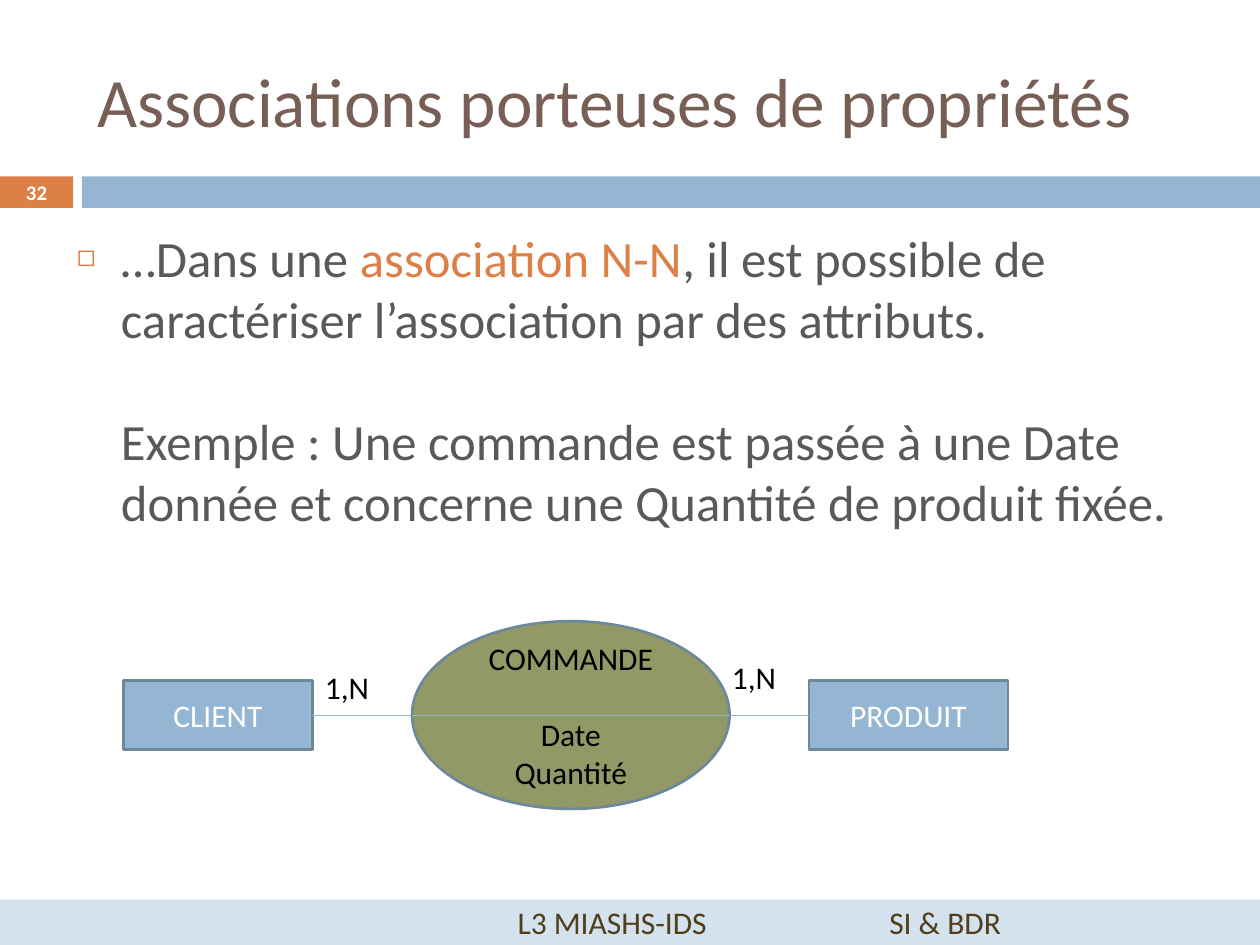
from dataclasses import dataclass

from lxml import etree
from pptx import Presentation
from pptx.dml.color import RGBColor
from pptx.enum.shapes import MSO_CONNECTOR, MSO_SHAPE
from pptx.enum.text import MSO_ANCHOR, MSO_AUTO_SIZE, PP_ALIGN
from pptx.oxml.ns import qn
from pptx.util import Inches, Pt

RECT, OVAL = MSO_SHAPE.RECTANGLE, MSO_SHAPE.OVAL
LINE = MSO_CONNECTOR.STRAIGHT
LEFT, MID = PP_ALIGN.LEFT, PP_ALIGN.CENTER
TOP, CENTER = MSO_ANCHOR.TOP, MSO_ANCHOR.MIDDLE
FIXED = MSO_AUTO_SIZE.NONE
WIDE, HIGH = Inches(10), Inches(7.5)
COLS, ROWS = 100, 75


@dataclass(frozen=True)
class Theme:
    """Colours, font and type sizes of the slide."""
    font: str = "Calibri"
    brown: str = "775F55"
    orange: str = "DD8047"
    blue: str = "94B6D2"
    edge: str = "6D879B"
    pale: str = "D4E2ED"
    olive: str = "929966"
    grey: str = "595959"
    dark: str = "513E1B"
    black: str = "000000"
    white: str = "FFFFFF"
    head: float = 39.6
    body: float = 29
    label: float = 18
    small: float = 11.9


THEME = Theme()


def grid(*cells):
    """Turn columns and rows, in turn, into lengths."""
    units = WIDE / COLS, HIGH / ROWS
    return [round(cell * units[i % 2]) for i, cell in enumerate(cells)]


def apply(item, values):
    """Set each attribute of an item from a dict."""
    for name, value in values.items():
        setattr(item, name, value)


def add_run(para, text, size, color, bold=False):
    """Add one run in the theme font."""
    run = para.add_run()
    run.text = text
    apply(run.font, {"name": THEME.font, "size": Pt(size), "bold": bold})
    run.font.color.rgb = RGBColor.from_string(color)


def fill_text(frame, lines, size, color, align=MID, anchor=CENTER, bold=False):
    """Write one paragraph per line and return the paragraphs."""
    apply(frame, {"word_wrap": True, "auto_size": FIXED, "vertical_anchor": anchor})
    paras = [frame.paragraphs[0]] + [frame.add_paragraph() for _ in lines[1:]]
    for para, line in zip(paras, lines):
        para.alignment = align
        add_run(para, line, size, color, bold)
    return paras


def add_block(slide, kind, cells, fill, edge=None):
    """Add a flat shape with an optional edge."""
    shape = slide.shapes.add_shape(kind, *grid(*cells))
    shape.shadow.inherit = False
    shape.fill.solid()
    shape.fill.fore_color.rgb = RGBColor.from_string(fill)
    if edge:
        shape.line.color.rgb = RGBColor.from_string(edge)
        shape.line.width = Pt(1.5)
    else:
        shape.line.fill.background()
    return shape


def add_label(slide, cells, text, size, color, **style):
    """Add a text box with one line."""
    box = slide.shapes.add_textbox(*grid(*cells))
    fill_text(box.text_frame, [text], size, color, **style)


def add_link(slide, start, end, row):
    """Add a thin level line between two columns."""
    link = slide.shapes.add_connector(LINE, *grid(start, row, end, row))
    link.line.color.rgb = RGBColor.from_string(THEME.blue)
    link.line.width = Pt(0.79)
    etree.SubElement(link._element.spPr, qn("a:effectLst"))


def place(holder, cells):
    """Move a placeholder to its cells."""
    apply(holder, dict(zip(("left", "top", "width", "height"), grid(*cells))))
    return holder.text_frame


def set_bullet(para, char):
    """Indent a paragraph and give it a bullet if there is one."""
    props = para._p.get_or_add_pPr()
    props.set("marL", str(Inches(0.35)))
    props.set("indent", str(-Inches(0.35) if char else 0))
    if not char:
        etree.SubElement(props, qn("a:buNone"))
        return
    tint = etree.SubElement(props, qn("a:buClr"))
    etree.SubElement(tint, qn("a:srgbClr"), val=THEME.orange)
    etree.SubElement(props, qn("a:buSzPct"), val="60000")
    etree.SubElement(props, qn("a:buChar"), char=char)


def set_tabs(para, *stops):
    """Set left tab stops, in inches."""
    tabs = etree.SubElement(para._p.get_or_add_pPr(), qn("a:tabLst"))
    for stop in stops:
        etree.SubElement(tabs, qn("a:tab"), pos=str(Inches(stop)), algn="l")


def add_head(slide):
    """Add the title, the band and the page number."""
    add_block(slide, RECT, (0, 14, 5.8, 2.5), THEME.orange)
    add_block(slide, RECT, (6.5, 14, 93.5, 2.5), THEME.blue)
    frame = place(slide.shapes.title, (6.7, 2.5, 89.2, 10.8))
    fill_text(frame, ["Associations porteuses de propriétés"],
              THEME.head, THEME.brown, align=LEFT)
    add_label(slide, (0, 13.9, 5.8, 2.7), "32", THEME.small, THEME.white, bold=True)


def add_body(slide):
    """Fill the body with the rule and its example."""
    frame = place(slide.placeholders[1], (5.1, 17.5, 89.2, 49.2))
    rule, sample = fill_text(frame, [
        "…Dans une ",
        "Exemple : Une commande est passée à une Date "
        "donnée et concerne une Quantité de produit fixée.",
    ], THEME.body, THEME.grey, align=LEFT, anchor=TOP)
    add_run(rule, "association N-N", THEME.body, THEME.orange)
    add_run(rule, ", il est possible de caractériser l’association par des attributs.",
            THEME.body, THEME.grey)
    for para, gap, char in ((rule, 7, "◻"), (sample, 35, None)):
        para.space_before = Pt(gap)
        set_bullet(para, char)


def add_model(slide):
    """Draw the two entities and the link between them."""
    axis = 56.8
    for name, col, width in (("CLIENT", 9.8, 15), ("PRODUIT", 64.2, 15.8)):
        box = add_block(slide, RECT, (col, 54, width, 5.5), THEME.blue, THEME.edge)
        fill_text(box.text_frame, [name], THEME.label, THEME.white)
    add_link(slide, 24.8, 64.2, axis)
    oval = add_block(slide, OVAL, (32.7, 49.3, 25.2, 14.9), THEME.olive, THEME.edge)
    paras = fill_text(oval.text_frame, ["COMMANDE", "Date", "Quantité"],
                      THEME.label, THEME.black)
    paras[1].space_before = Pt(22)
    for col, row in ((24.8, 52.5), (57.1, 51.7)):
        add_label(slide, (col, row, 7.1, 4), "1,N", THEME.label, THEME.black,
                  align=LEFT, anchor=TOP)
    add_link(slide, 32.7, 57.9, axis)


def add_foot(slide):
    """Add the footer band with its two course names."""
    band = add_block(slide, RECT, (0, 71.4, 100, 3.6), THEME.pale)
    paras = fill_text(band.text_frame, ["\tL3 MIASHS-IDS\tSI & BDR"],
                      THEME.label, THEME.dark, align=LEFT)
    set_tabs(paras[0], 4.01, 6.96)


def main():
    """Build the slide and save it."""
    deck = Presentation()
    apply(deck, {"slide_width": WIDE, "slide_height": HIGH})
    slide = deck.slides.add_slide(deck.slide_layouts[1])
    for part in (add_head, add_body, add_model, add_foot):
        part(slide)
    deck.save("out.pptx")


if __name__ == "__main__":
    main()
